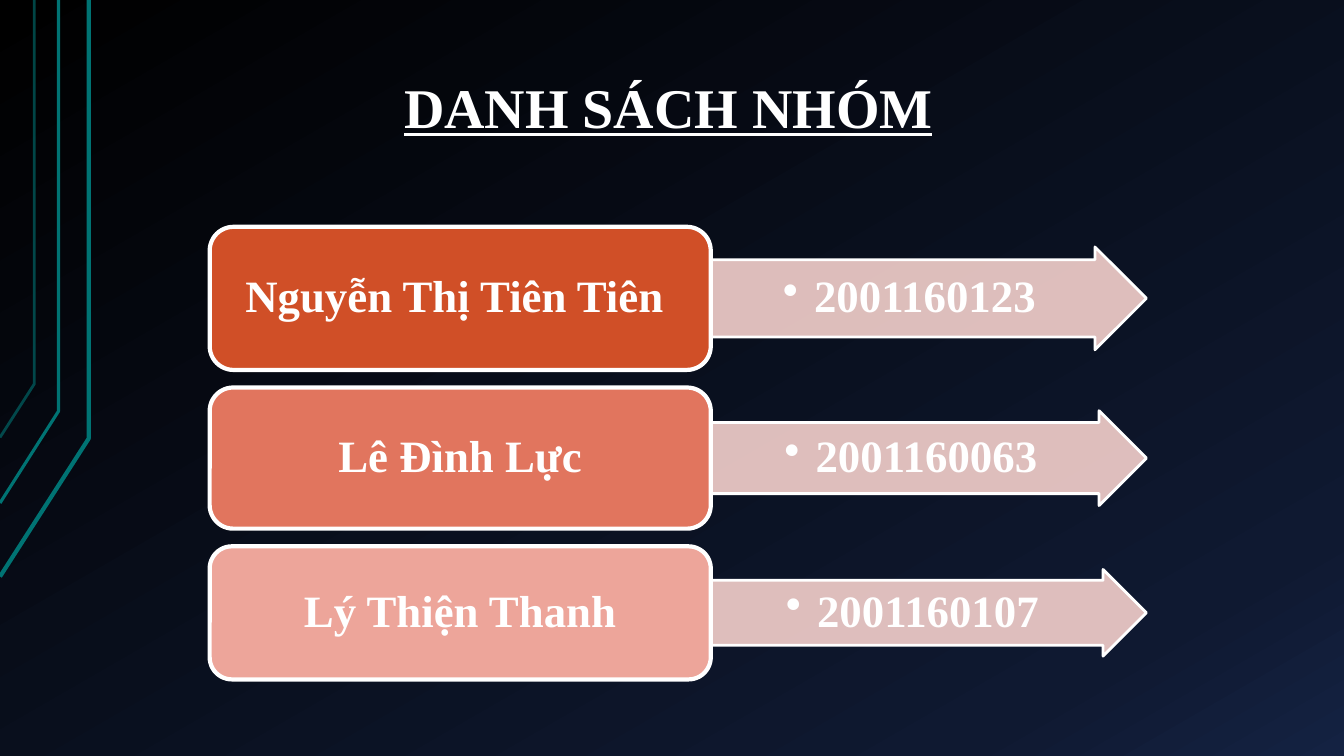
import copy

import pptx
import pptx.dml.color
import pptx.enum.shapes
import pptx.enum.text
import pptx.oxml
import pptx.oxml.ns
import pptx.util

RGBColor = pptx.dml.color.RGBColor
BLACK = RGBColor(0x00, 0x00, 0x00)
NAVY = RGBColor(0x0F, 0x19, 0x31)
BLUE = RGBColor(0x14, 0x22, 0x42)
TEAL = RGBColor(0x00, 0x73, 0x73)
WHITE = RGBColor(0xFF, 0xFF, 0xFF)
PINK = RGBColor(0xF5, 0xD1, 0xCD)
RUST = RGBColor(0xD0, 0x4F, 0x27)
CORAL = RGBColor(0xE1, 0x75, 0x5E)
SALMON = RGBColor(0xED, 0xA5, 0x9A)

COLUMN = ROW = pptx.util.Inches(0.01)
BOX_LEFT, BOX_RIGHT, ARROW_RIGHT = 208, 705, 1137
FIRST_TOP, GAP = 225, 17.5
MEMBERS = [
    ("Nguyễn Thị Tiên Tiên ", "2001160123", RUST, 142, 102),
    ("Lê Đình Lực", "2001160063", CORAL, 140, 94),
    ("Lý Thiện Thanh", "2001160107", SALMON, 132, 86),
]
RAILS = [
    (88, 435, 572, 3, 100),
    (58, 408, 499, 2.25, 100),
    (34, 381, 434, 2, 60),
]


class SlideBuilder:
    font_name = "Times New Roman"

    def __init__(self, deck):
        self.slide = deck.slides.add_slide(deck.slide_layouts[6])

    def place(self, left, top, width, height):
        return (int(left * COLUMN), int(top * ROW),
                int(width * COLUMN), int(height * ROW))

    def background(self, stops, angle):
        fill = self.slide.background.fill
        fill.gradient()
        fill.gradient_angle = angle
        stop_list = fill._fill._gradFill.gsLst
        stop_list.append(copy.deepcopy(stop_list[0]))
        for stop, (position, color) in zip(fill.gradient_stops, stops):
            stop.position = position
            stop.color.rgb = color

    def opacity(self, element, percent):
        color = element.find(".//" + pptx.oxml.ns.qn("a:srgbClr"))
        color.append(pptx.oxml.parse_xml(
            f'<a:alpha {pptx.oxml.ns.nsdecls("a")} val="{percent * 1000}"/>'))

    def rail(self, x, bend, end, weight, percent):
        corners = [(a * COLUMN, b * ROW) for a, b in [(0, end), (x, bend), (x, 0)]]
        outline = self.slide.shapes.build_freeform(*corners[0])
        outline.add_line_segments(corners[1:], close=False)
        shape = outline.convert_to_shape()
        shape.shadow.inherit = False
        shape.fill.background()
        shape.line.color.rgb = TEAL
        shape.line.width = pptx.util.Pt(weight)
        if percent < 100:
            self.opacity(shape.line._ln, percent)

    def label(self, shape, text, size, margins, underline=None):
        frame = shape.text_frame
        frame.word_wrap = True
        frame.text = text
        frame.margin_left = frame.margin_right = pptx.util.Inches(margins[0])
        frame.margin_top = frame.margin_bottom = pptx.util.Inches(margins[1])
        para = frame.paragraphs[0]
        font = para.runs[0].font
        font.name, font.size, font.bold = self.font_name, pptx.util.Pt(size), True
        font.underline = underline
        font.color.rgb = WHITE
        return para

    def title(self, text, *area):
        box = self.slide.shapes.add_textbox(*self.place(*area))
        self.label(box, text, 40, (0.1, 0.05), underline=True)

    def block(self, kind, area, color, weight, text, margins):
        shape = self.slide.shapes.add_shape(kind, *self.place(*area))
        shape.shadow.inherit = False
        shape.fill.solid()
        shape.fill.fore_color.rgb = color
        shape.line.color.rgb = WHITE
        shape.line.width = pptx.util.Pt(weight)
        para = self.label(shape, text, 32, margins)
        para.alignment = pptx.enum.text.PP_ALIGN.CENTER
        para.line_spacing = 0.9
        shape.text_frame.vertical_anchor = pptx.enum.text.MSO_ANCHOR.MIDDLE
        return shape

    def arrow(self, area, text):
        kind = pptx.enum.shapes.MSO_SHAPE.RIGHT_ARROW
        shape = self.block(kind, area, PINK, 2, text, (0.02, 0.02))
        shape.adjustments[0], shape.adjustments[1] = 0.75, 0.5
        self.opacity(shape.fill._xPr, 90)
        para = shape.text_frame.paragraphs[0]
        para.level = 1
        properties = para._p.get_or_add_pPr()
        indent = pptx.util.Inches(0.31)
        properties.set("marL", str(int(indent)))
        properties.set("indent", str(-int(indent)))
        properties.append(pptx.oxml.parse_xml(
            f'<a:buChar {pptx.oxml.ns.nsdecls("a")} char="•"/>'))

    def name_box(self, area, color, text):
        kind = pptx.enum.shapes.MSO_SHAPE.ROUNDED_RECTANGLE
        self.block(kind, area, color, 3, text, (0.13, 0.07))


def main():
    deck = pptx.Presentation()
    deck.slide_width = pptx.util.Inches(13.33)
    deck.slide_height = pptx.util.Inches(7.5)
    page = SlideBuilder(deck)
    page.background([(0, BLACK), (0.85, NAVY), (1, BLUE)], 300)
    for rail in RAILS:
        page.rail(*rail)
    page.title("DANH SÁCH NHÓM", 391, 67, 600, 77)
    top = FIRST_TOP
    for name, number, color, height, arrow_height in MEMBERS:
        arrow_top = top + (height - arrow_height) / 2
        page.arrow((BOX_RIGHT, arrow_top, ARROW_RIGHT - BOX_RIGHT, arrow_height), number)
        page.name_box((BOX_LEFT, top, BOX_RIGHT - BOX_LEFT, height), color, name)
        top += height + GAP
    deck.save("out.pptx")


if __name__ == "__main__":
    main()
